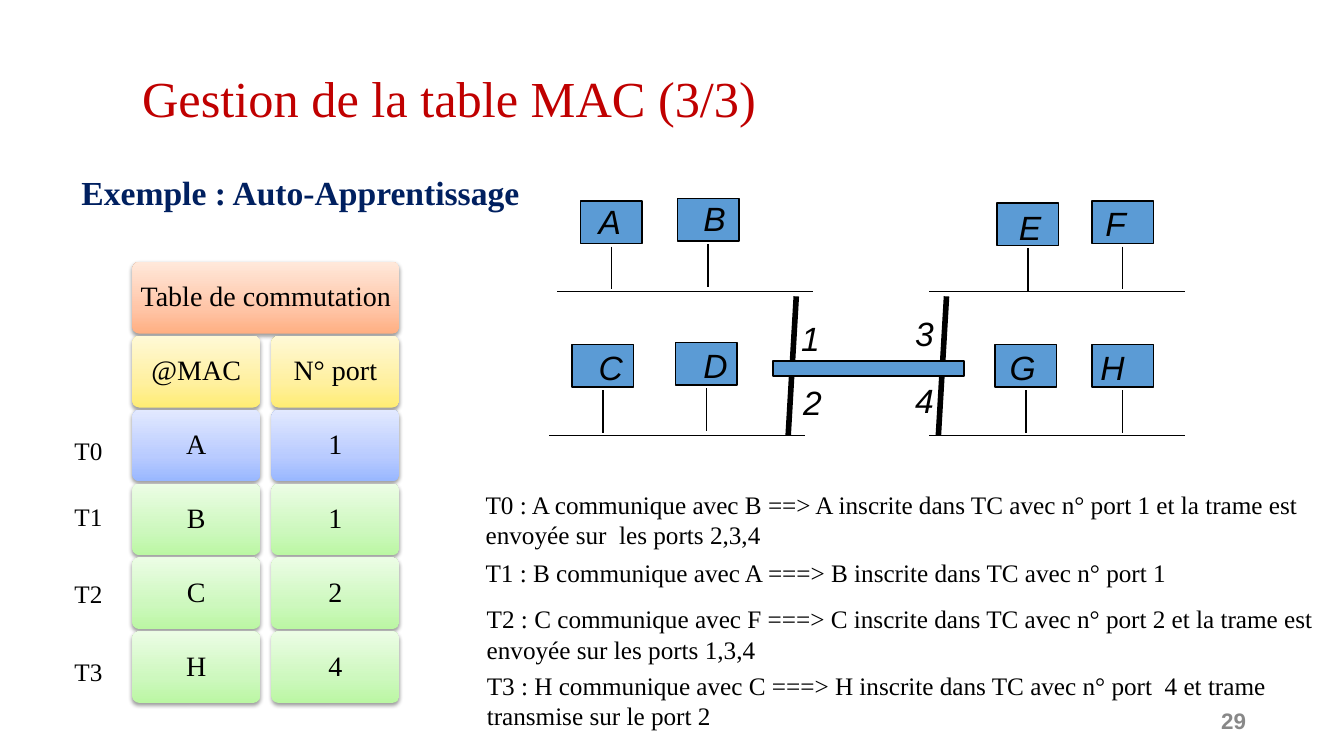
from dataclasses import dataclass

from lxml.etree import SubElement
from pptx import Presentation
from pptx.dml.color import RGBColor
from pptx.enum.shapes import MSO_CONNECTOR, MSO_SHAPE
from pptx.enum.text import MSO_ANCHOR, PP_ALIGN
from pptx.oxml.ns import qn
from pptx.util import Pt

SERIF, SANS = "Times New Roman", "Arial"
BLACK, BLUE = "000000", "5B9BD5"

deck = Presentation()
deck.slide_width, deck.slide_height = Pt(960), Pt(540)
page = deck.slides.add_slide(deck.slide_layouts[6])


@dataclass
class Host:
    name: str
    left: float
    top: float
    label_left: float
    label_top: float


@dataclass
class Line:
    x1: float
    y1: float
    x2: float
    y2: float
    width: float = 1


@dataclass
class Label:
    text: str
    left: float
    top: float
    width: float = 40


def color(code: str) -> RGBColor:
    return RGBColor.from_string(code)


def write(frame, text: str, *, size: float = 18, font: str = SERIF, ink: str = BLACK,
          bold: bool = False, italic: bool = False, align=PP_ALIGN.LEFT,
          anchor=MSO_ANCHOR.TOP, spacing: float = 1,
          inset_x: float = 7.2, inset_y: float = 3.6) -> None:
    frame.word_wrap = True
    frame.vertical_anchor = anchor
    frame.margin_left = frame.margin_right = Pt(inset_x)
    frame.margin_top = frame.margin_bottom = Pt(inset_y)
    para = frame.paragraphs[0]
    para.alignment, para.line_spacing = align, spacing
    span = para.add_run()
    span.text = text
    span.font.name, span.font.size = font, Pt(size)
    span.font.bold, span.font.italic = bold, italic
    span.font.color.rgb = color(ink)


def add_text(text: str, left: float, top: float, width: float, height: float, **style) -> None:
    box = page.shapes.add_textbox(Pt(left), Pt(top), Pt(width), Pt(height))
    write(box.text_frame, text, **style)


def add_line(line: Line) -> None:
    connector = page.shapes.add_connector(
        MSO_CONNECTOR.STRAIGHT, Pt(line.x1), Pt(line.y1), Pt(line.x2), Pt(line.y2))
    connector.line.color.rgb = color(BLACK)
    connector.line.width = Pt(line.width)
    SubElement(connector.element.spPr, qn("a:effectLst"))


def add_box(left: float, top: float, width: float, height: float) -> None:
    box = page.shapes.add_shape(MSO_SHAPE.RECTANGLE, Pt(left), Pt(top), Pt(width), Pt(height))
    box.shadow.inherit = False
    box.fill.solid()
    box.fill.fore_color.rgb = color(BLUE)
    box.line.color.rgb = color(BLACK)
    box.line.width = Pt(1)


def add_host(host: Host) -> None:
    add_box(host.left, host.top, 44, 30.4)
    middle = host.left + 22
    add_line(Line(middle, host.top + 32.6, middle, host.top + 63.2))
    add_text(host.name, host.label_left, host.label_top, 36, 36,
             size=24, font=SANS, italic=True)


def add_color_stop(stops, position: int, code: str) -> None:
    stop = SubElement(stops, qn("a:gs"), pos=str(position * 1000))
    SubElement(stop, qn("a:srgbClr"), val=code)


def add_card(text: str, left: float, top: float, width: float, shades: tuple[str, str, str]) -> None:
    card = page.shapes.add_shape(
        MSO_SHAPE.ROUNDED_RECTANGLE, Pt(left), Pt(top), Pt(width), Pt(51.2))
    card.adjustments[0] = 0.1
    card.line.fill.background()

    # Three-stop gradient, darkest at the bottom
    card.fill.gradient()
    card.fill.gradient_angle = 90
    stops = card.element.spPr.find(qn("a:gradFill")).find(qn("a:gsLst"))
    for stop in list(stops):
        stops.remove(stop)
    for position, code in zip((0, 35, 100), shades):
        add_color_stop(stops, position, code)

    # Soft shadow below
    card.shadow.inherit = False
    shadow = SubElement(card.element.spPr.find(qn("a:effectLst")), qn("a:outerShdw"),
                        blurRad=str(Pt(3.1)), dist=str(Pt(1.6)), dir="5400000", rotWithShape="0")
    shade = SubElement(shadow, qn("a:srgbClr"), val=BLACK)
    SubElement(shade, qn("a:alpha"), val="38000")

    write(card.text_frame, text, size=20, align=PP_ALIGN.CENTER, anchor=MSO_ANCHOR.MIDDLE,
          spacing=0.9, inset_x=2, inset_y=5.8)


# Headings and page number
add_text("Gestion de la table MAC (3/3)", 97.9, 46.8, 828, 50.4, size=36, ink="C00000",
         anchor=MSO_ANCHOR.MIDDLE, spacing=0.9, inset_x=3.6)
add_text("29", 866.2, 491.8, 27.4, 46, size=16, font=SANS, ink="888888", bold=True,
         align=PP_ALIGN.RIGHT, anchor=MSO_ANCHOR.MIDDLE, inset_x=3.6)
add_text("Exemple : Auto-Apprentissage", 51.1, 119.5, 413.3, 36, size=24, ink="002060", bold=True)

# Network: trunks, segments, hosts, switch and its ports
network_lines = [
    Line(676.1, 211.7, 670.3, 311, 4),
    Line(568.8, 211.7, 563, 311, 4),
    Line(398.2, 208.1, 581, 208.1),
    Line(663.8, 208.1, 846.7, 208.1),
    Line(392.4, 311, 575.3, 311),
    Line(663.8, 311, 846.7, 311),
]
for network_line in network_lines:
    add_line(network_line)

hosts = [
    Host("A", 414.7, 143.5, 420.5, 139.7),
    Host("B", 483.8, 141.8, 495.4, 138.2),
    Host("C", 408.7, 246.2, 420.5, 244.1),
    Host("D", 482.6, 244.8, 495.4, 242.6),
    Host("E", 712.3, 144.9, 720.7, 144),
    Host("F", 780, 143.5, 782.6, 141.1),
    Host("G", 710.8, 246.2, 714.2, 244.1),
    Host("H", 780, 246.2, 779, 244.1),
]
for host in hosts:
    add_host(host)

add_box(552.2, 257.8, 136.4, 10.8)
ports = [Label("1", 565.2, 223.2), Label("2", 566.6, 269.3),
         Label("3", 646.6, 220.3), Label("4", 646.6, 267.8)]
for port in ports:
    add_text(port.text, port.left, port.top, 28, 36, size=24, font=SANS, italic=True)

# Switching table
ORANGE = ("FFAF82", "FFC5A7", "FFE8DA")
YELLOW = ("FFED74", "FFF09F", "FFF9D6")
PERIWINKLE = ("98B7FF", "B9CBFF", "E2E9FF")
GREEN = ("BBF7A3", "CDF8BE", "ECFDE5")
TABLE_LEFT, TABLE_TOP, COLUMN_STEP, ROW_STEP = 94.5, 187.2, 99.4, 52.75
table_rows = [
    (("Table de commutation",), ORANGE),
    (("@MAC", "N° port"), YELLOW),
    (("A", "1"), PERIWINKLE),
    (("B", "1"), GREEN),
    (("C", "2"), GREEN),
    (("H", "4"), GREEN),
]
for row, (cells, shades) in enumerate(table_rows):
    card_width = 190.8 if len(cells) == 1 else 91.4
    for column, cell in enumerate(cells):
        add_card(cell, TABLE_LEFT + column * COLUMN_STEP, TABLE_TOP + row * ROW_STEP,
                 card_width, shades)

# Time marks and explanations
notes = [
    Label("T0 : A communique avec B ==> A inscrite dans TC avec n° port 1 et la trame est "
          "envoyée sur  les ports 2,3,4", 339.8, 345.6, 620.6),
    Label("T1 : B communique avec A ===> B inscrite dans TC avec n° port 1", 339.8, 394.6, 596.2),
    Label("T2 : C communique avec F ===> C inscrite dans TC avec n° port 2 et la trame est "
          "envoyée sur les ports 1,3,4", 340.6, 427.7, 619.2),
    Label("T3 : H communique avec C ===> H inscrite dans TC avec n° port  4 et trame "
          "transmise sur le port 2", 340.6, 475.2, 625.7),
    Label("T0", 46.1, 307.4),
    Label("T1", 46.1, 354.2),
    Label("T2", 46.1, 409.7),
    Label("T3", 46.1, 465.1),
]
for note in notes:
    add_text(note.text, note.left, note.top, note.width, 29.5)

deck.save("out.pptx")
